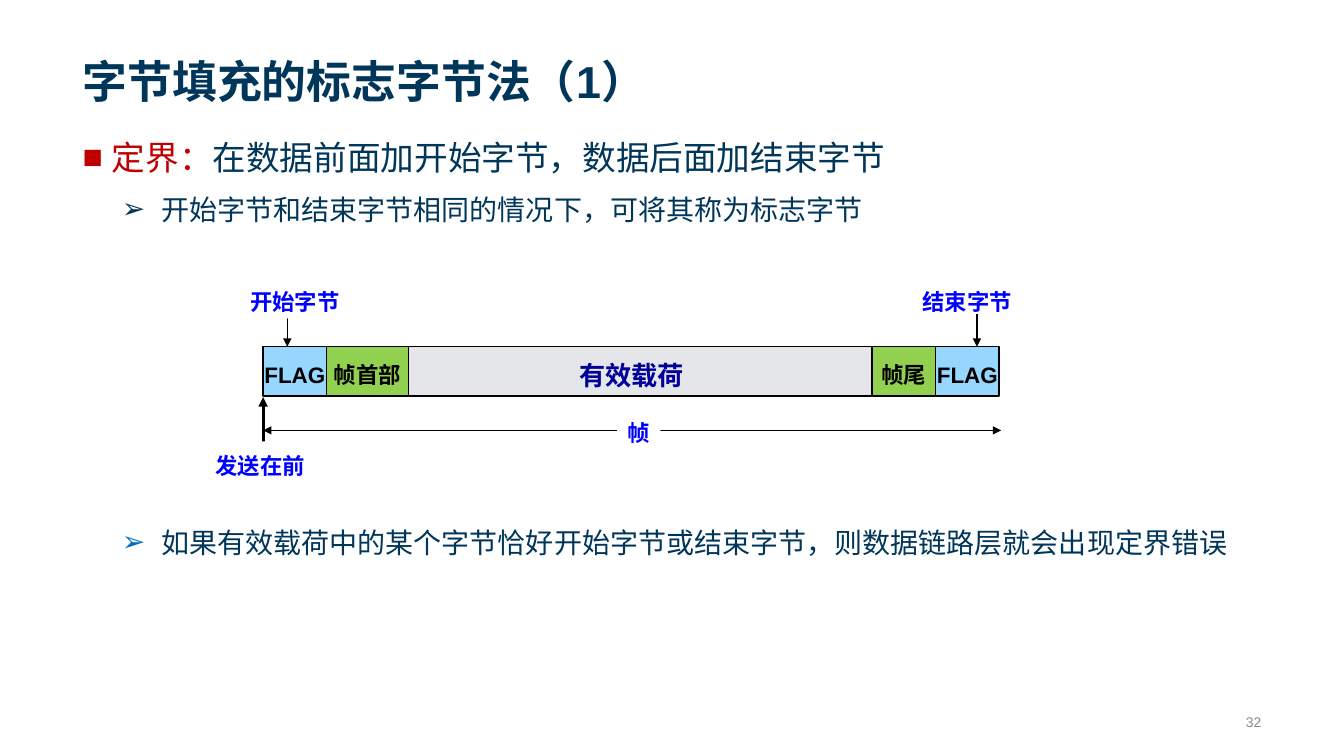
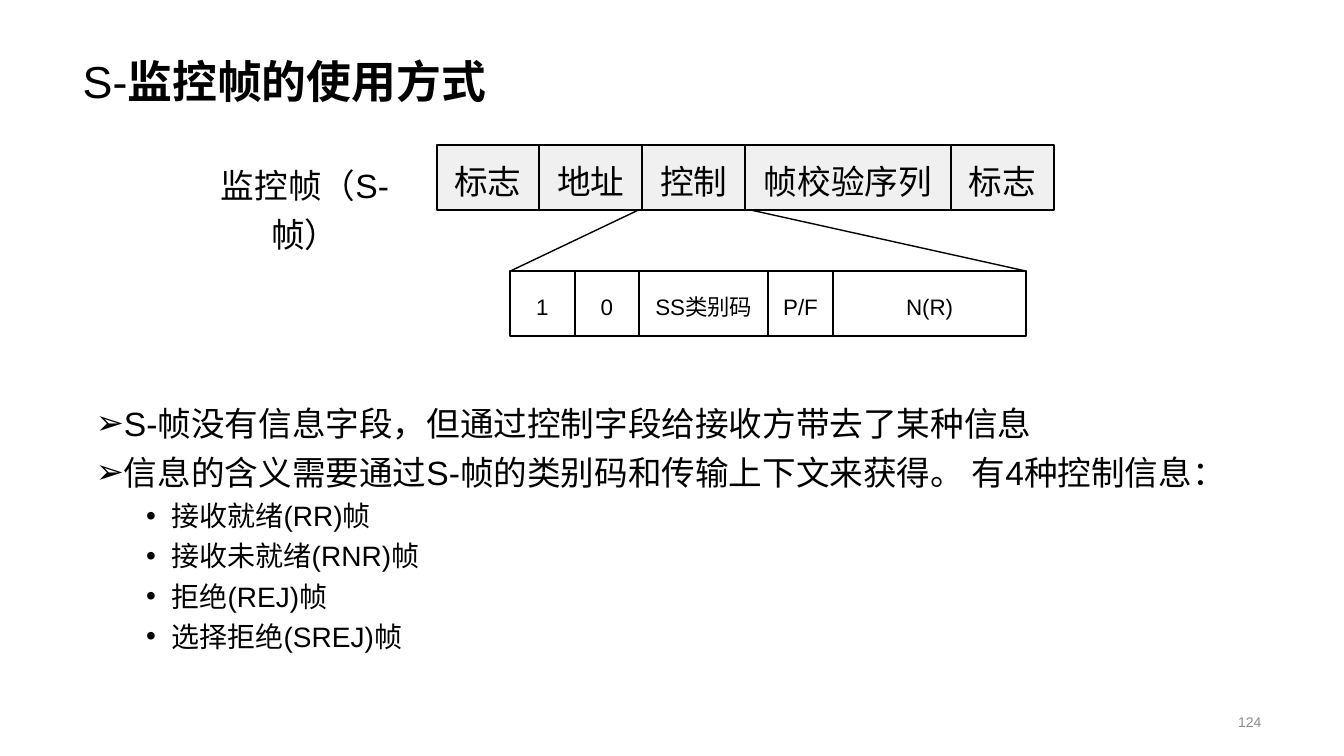
from lxml import etree
from pptx import Presentation
from pptx.dml.color import RGBColor
from pptx.enum.shapes import MSO_CONNECTOR, MSO_SHAPE
from pptx.enum.text import MSO_ANCHOR, MSO_AUTO_SIZE, PP_ALIGN
from pptx.oxml.ns import qn
from pptx.util import Inches, Pt

RECTANGLE = MSO_SHAPE.RECTANGLE
STRAIGHT = MSO_CONNECTOR.STRAIGHT
TOP, MIDDLE, BOTTOM = MSO_ANCHOR.TOP, MSO_ANCHOR.MIDDLE, MSO_ANCHOR.BOTTOM
LEFT, CENTER, RIGHT = PP_ALIGN.LEFT, PP_ALIGN.CENTER, PP_ALIGN.RIGHT
NO_FIT = MSO_AUTO_SIZE.NONE

FONT = "Arial"
LINE_SPACING = 1.2
TITLE_AREA = (0.72, 0.14, 11.88, 0.98)
NUMBER_AREA = (11.73, 7.01, 0.88, 0.3)
COLORS = {
    "navy": "003659",
    "red": "C00000",
    "bullet_blue": "0070C0",
    "label_blue": "0000FF",
    "payload_blue": "000099",
    "black": "000000",
    "white": "FFFFFF",
    "number_gray": "8C8C8C",
    "payload_gray": "E4E6EA",
    "field_gray": "F0F0F0",
    "flag": "96D6FF",
    "green": "92D050",
}


def rgb(name):
    return RGBColor.from_string(COLORS[name])


class SlideBuilder:
    def __init__(self):
        self.deck = Presentation()
        self.deck.slide_width = Inches(13.33)
        self.deck.slide_height = Inches(7.5)
        self.page = None

    def new_page(self, title_spans, number):
        self.page = self.deck.slides.add_slide(self.deck.slide_layouts[1])
        title = self.page.shapes.title
        self.place(title, TITLE_AREA)
        self.frame(title, BOTTOM, True)
        self.add_spans(title.text_frame.paragraphs[0], title_spans, 32, LEFT, 1)
        self.text(NUMBER_AREA, str(number), 10, "number_gray", RIGHT, MIDDLE, spacing=1)

    def place(self, shape, area):
        shape.left, shape.top, shape.width, shape.height = map(Inches, area)

    def frame(self, shape, anchor, wrap):
        frame = shape.text_frame
        frame.auto_size = NO_FIT
        frame.word_wrap = wrap
        frame.vertical_anchor = anchor

    def add_spans(self, paragraph, spans, size, align, spacing=LINE_SPACING):
        paragraph.alignment = align
        paragraph.line_spacing = spacing
        for words, color, bold in spans:
            span = paragraph.add_run()
            span.text = words
            span.font.name = FONT
            span.font.size = Pt(size)
            span.font.bold = bold
            span.font.color.rgb = rgb(color)

    def text(self, area, words, size, color, align=CENTER, anchor=TOP, spacing=LINE_SPACING):
        box = self.page.shapes.add_textbox(*map(Inches, area))
        self.frame(box, anchor, True)
        self.add_spans(box.text_frame.paragraphs[0], [(words, color, False)], size, align, spacing)

    def body(self, area, items):
        box = self.page.placeholders[1]
        self.place(box, area)
        self.frame(box, TOP, True)
        for index, item in enumerate(items):
            frame = box.text_frame
            paragraph = frame.add_paragraph() if index else frame.paragraphs[0]
            paragraph.level = item.get("level", 0)
            paragraph.space_before = Pt(item.get("before", 0))
            self.bullet(paragraph, item)
            self.add_spans(paragraph, item["spans"], item["size"], LEFT)

    def bullet(self, paragraph, item):
        margin, hanging = item["indent"]
        properties = paragraph._p.get_or_add_pPr()
        properties.set("marL", str(Inches(margin)))
        properties.set("indent", str(Inches(-hanging)))
        color = item.get("bullet_color", item["spans"][0][1])
        holder = etree.SubElement(properties, qn("a:buClr"))
        etree.SubElement(holder, qn("a:srgbClr")).set("val", COLORS[color])
        etree.SubElement(properties, qn("a:buFont")).set("typeface", FONT)
        etree.SubElement(properties, qn("a:buChar")).set("char", item["bullet"])

    def box(self, area, words, size, color="black", fill=None, line=None, bold=False, anchor=MIDDLE):
        box = self.page.shapes.add_shape(RECTANGLE, *map(Inches, area))
        box.shadow.inherit = False
        if fill:
            box.fill.solid()
            box.fill.fore_color.rgb = rgb(fill)
        else:
            box.fill.background()
        if line:
            box.line.color.rgb = rgb("black")
            box.line.width = Pt(line)
        else:
            box.line.fill.background()
        self.frame(box, anchor, False)
        self.add_spans(box.text_frame.paragraphs[0], [(words, color, bold)], size, CENTER)

    def label(self, left, top, width, words):
        self.box((left, top, width, 0.4), words, 16, "label_blue", "white", bold=True, anchor=TOP)

    def row(self, left, top, height, unit, fields, size, line, bold=False):
        for words, span, fill in fields:
            width = span * unit
            self.box((left, top, width, height), words, size, fill=fill, line=line, bold=bold)
            left += width

    def line(self, start, end, width=1, arrows=()):
        line = self.page.shapes.add_connector(STRAIGHT, *map(Inches, start + end))
        line.line.color.rgb = rgb("black")
        line.line.width = Pt(width)
        outline = line.line._get_or_add_ln()
        for arrow in arrows:
            etree.SubElement(outline, qn(f"a:{arrow}")).set("type", "triangle")
        etree.SubElement(line._element.spPr, qn("a:effectLst"))


def flag_byte_page(slides):
    slides.new_page([("字节填充的标志字节法（1）", "navy", True)], 32)
    detail = {"indent": (0.78, 0.39), "bullet": "➢", "size": 20}
    slides.body((0.72, 1.23, 11.88, 5.48), [
        {"indent": (0.29, 0.29), "bullet": "■", "size": 24, "spans": [
            ("定界：", "red", False),
            ("在数据前面加开始字节，数据后面加结束字节", "navy", False)]},
        {**detail, "before": 6, "spans": [
            ("开始字节和结束字节相同的情况下，可将其称为标志字节", "navy", False)]},
        {**detail, "before": 209, "bullet_color": "bullet_blue", "spans": [
            ("如果有效载荷中的某个字节恰好开始字节或结束字节，则数据链路层就会出现定界错误", "navy", False)]},
    ])
    top, height = 3.44, 0.49
    slides.box((3.09, top, 6.35, height), "有效载荷", 18.7, "payload_blue", "payload_gray", 1, True)
    slides.row(2.61, top, height, 1, [("FLAG", 0.63, "flag"), ("帧首部", 0.81, "green")], 16, 1, True)
    slides.row(8.65, top, height, 1, [("帧尾", 0.63, "green"), ("FLAG", 0.63, "flag")], 16, 1, True)
    slides.line((2.61, 4.27), (9.93, 4.27), arrows=("headEnd", "tailEnd"))
    slides.label(6.12, 4.06, 0.43, "帧")
    slides.line((2.85, 3.12), (2.85, top), arrows=("tailEnd",))
    slides.label(2.36, 2.76, 1.13, "开始字节")
    slides.label(9.03, 2.76, 1.13, "结束字节")
    slides.line((9.69, 3.12), (9.69, top), arrows=("tailEnd",))
    slides.line((2.61, 4.43), (2.61, 3.94), 2.25, ("tailEnd",))
    slides.label(2.03, 4.38, 1.1, "发送在前")


def supervisory_page(slides):
    slides.new_page([("S-", "black", False), ("监控帧的使用方式", "black", True)], 124)
    statements = [
        "S-帧没有信息字段，但通过控制字段给接收方带去了某种信息",
        "信息的含义需要通过S-帧的类别码和传输上下文来获得。 有4种控制信息：",
    ]
    kinds = ["接收就绪(RR)帧", "接收未就绪(RNR)帧", "拒绝(REJ)帧", "选择拒绝(SREJ)帧"]
    items = [{"indent": (0.25, 0.25), "bullet": "➢", "size": 24,
              "spans": [(words, "black", False)]} for words in statements]
    items += [{"level": 1, "indent": (0.75, 0.25), "bullet": "•", "size": 20,
               "spans": [(words, "black", False)]} for words in kinds]
    slides.body((0.85, 3.87, 11.88, 2.64), items)
    frame_fields = [("标志", 1), ("地址", 1), ("控制", 1), ("帧校验序列", 2), ("标志", 1)]
    control_fields = [("1", 1), ("0", 1), ("SS类别码", 2), ("P/F", 1), ("N(R)", 3)]
    slides.row(4.33, 1.44, 0.64, 1.02, [(*field, "field_gray") for field in frame_fields], 24, 1.5)
    slides.text((1.95, 1.51, 2.15, 0.54), "监控帧（S-帧）", 24, "black")
    slides.row(5.06, 2.69, 0.64, 0.64, [(*field, None) for field in control_fields], 16, 1.5)
    slides.line((6.34, 2.08), (5.06, 2.69))
    slides.line((7.43, 2.08), (10.18, 2.69))


def main():
    slides = SlideBuilder()
    flag_byte_page(slides)
    supervisory_page(slides)
    slides.deck.save("out.pptx")


if __name__ == "__main__":
    main()
